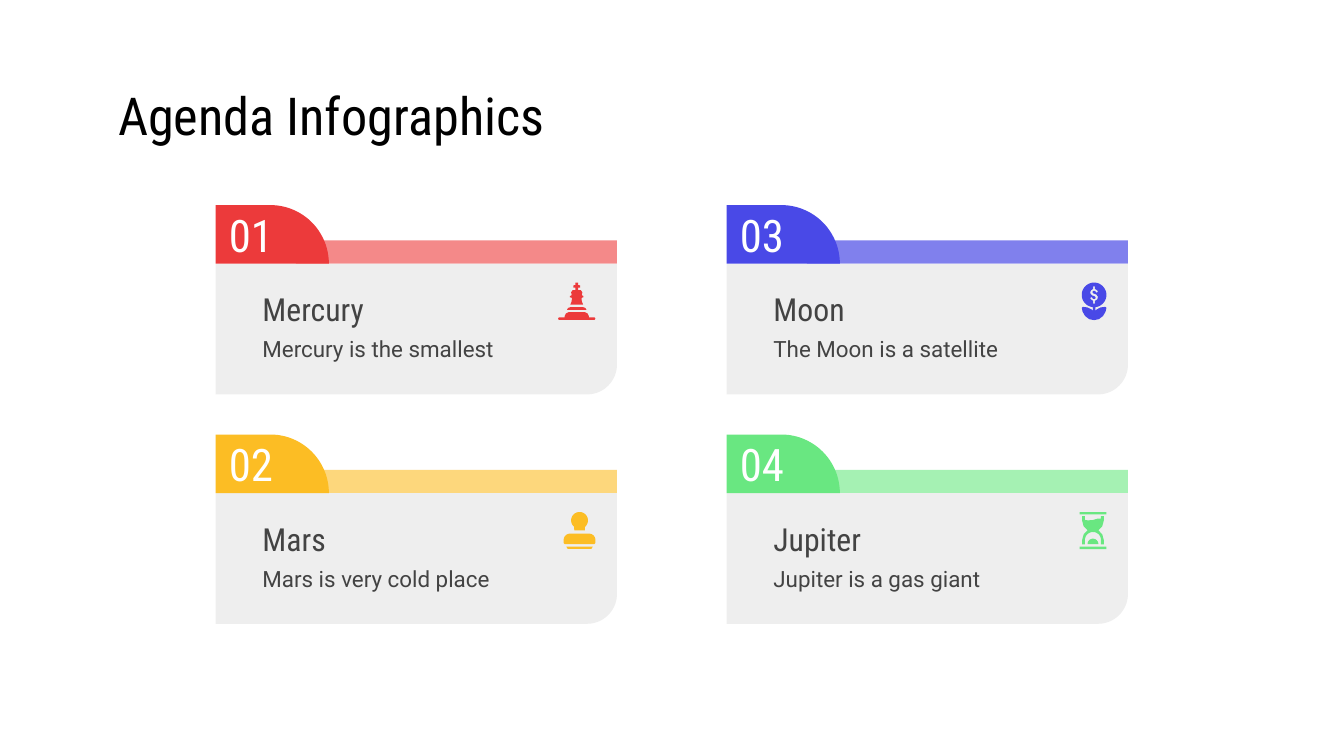
from math import cos, radians, sin

from pptx import Presentation
from pptx.dml.color import RGBColor
from pptx.enum.shapes import MSO_SHAPE
from pptx.enum.text import MSO_ANCHOR, PP_ALIGN

RECTANGLE = MSO_SHAPE.RECTANGLE
MIDDLE = MSO_ANCHOR.MIDDLE
LEFT = PP_ALIGN.LEFT

HEADING_FONT, BODY_FONT = "Roboto Condensed", "Roboto"
BLACK, WHITE, DARK_GRAY, LIGHT_GRAY = "000000", "FFFFFF", "434343", "EEEEEE"

GRID_LEFT, GRID_TOP = 115.5, 109.9
COLUMN_STEP, ROW_STEP = 273.75, 122.9
CARD_WIDTH, PANEL_HEIGHT, PANEL_RADIUS = 215, 70, 16
TAB_WIDTH, TAB_HEIGHT, TAB_RADIUS = 60.7, 31.4, 31.4
BAR_LEFT, BAR_HEIGHT = 43, 12.5
ICON_RIGHT, ICON_TOP = 203.5, 41.5


def rgb(color):
    return RGBColor.from_string(color)


def paint(shape, color):
    shape.fill.solid()
    shape.fill.fore_color.rgb = rgb(color)
    shape.line.fill.background()
    shape.shadow.inherit = False


def write(shape, text, size, color, font_name):
    frame = shape.text_frame
    frame.word_wrap = True
    frame.vertical_anchor = MIDDLE
    frame.margin_left = frame.margin_right = Pt(7.2)
    frame.margin_top = frame.margin_bottom = Pt(7.2)
    paragraph = frame.paragraphs[0]
    paragraph.text = text
    paragraph.alignment = LEFT
    paragraph.font.size = Pt(size)
    paragraph.font.name = font_name
    paragraph.font.color.rgb = rgb(color)


def add_label(slide, box, text, size, color, font_name):
    label = slide.shapes.add_textbox(*map(Pt, box))
    write(label, text, size, color, font_name)


def add_outline(slide, left, top, contours, color):
    """Draw closed contours, given relative to (left, top), as one shape."""
    placed = [[(Pt(left + x), Pt(top + y)) for x, y in contour] for contour in contours]
    builder = slide.shapes.build_freeform(*placed[0][0])
    for number, (start, *rest) in enumerate(placed):
        if number:
            builder.move_to(*start)
        builder.add_line_segments(rest, close=True)
    outline = builder.convert_to_shape()
    paint(outline, color)
    return outline


def arc(x, y, radius, start, end, steps=24):
    """Points on a circle; angles in degrees, clockwise from the right."""
    angles = [radians(start + (end - start) * i / steps) for i in range(steps + 1)]
    return [(x + radius * cos(a), y + radius * sin(a)) for a in angles]


def mirrored(right_half):
    return right_half + [(-x, y) for x, y in reversed(right_half)]


def bar(half_width, top, bottom):
    return mirrored([(half_width, top), (half_width, bottom)])


def chess_king():
    body = [(0.7, 0), (0.7, 1.4), (1.8, 1.5), (1.8, 2.7), (0.7, 2.7), (0.7, 4),
            (2.2, 4.1), (3, 5.2), (2.7, 6.8), (3.6, 7.2), (3.6, 7.9),
            (2.6, 8.2), (2.7, 10), (3.4, 11.8)]
    ring = [(3.4, 13.2), (4.6, 13.6), (5.2, 14.6)]
    base = [(4.5, 15.9), (5.8, 16.6), (6.5, 18), (6.5, 18.7),
            (9.6, 18.7), (10, 19.3), (9.6, 20)]
    return [mirrored(half) for half in (body, ring, base)]


def rubber_stamp():
    handle = arc(0, 4.5, 4.5, -90, 50) + [(2.8, 9.9)]
    block = arc(5.1, 15, 3.4, -90, 0) + [(8.5, 16.6), (7.9, 17.2)]
    foot = [(7.1, 18.5), (6.4, 19.7)]
    return [mirrored(half) for half in (handle, block, foot)]


def coin_flower():
    coin = arc(0, 6.6, 6.6, 0, 360, 48)
    dollar_half = [(-0.5, -3.2), (-0.5, -4.6), (0.5, -4.6), (0.5, -3.2),
                   (1.7, -2.4), (2.1, -1.5), (1.1, -1.2), (0.6, -2.1),
                   (-0.4, -2.2), (-0.9, -1.5), (-0.4, -0.8), (1.2, -0.2),
                   (2.1, 1), (1.7, 2.4)]
    dollar = dollar_half + [(-x, -y) for x, y in dollar_half]
    leaves = [(0.7, 13.1), (0.7, 15.1), (1.4, 14.4), (3.5, 13.3), (6, 13),
              (6.6, 13.5), (6.2, 15.5), (4.8, 17.9), (2.6, 19.6), (0, 20.1)]
    return [coin, [(x, y + 6.6) for x, y in dollar], mirrored(leaves)]


def hourglass():
    side = [(4.3, 2.2), (5.8, 2.2), (5.8, 4.6), (5, 7.6), (2.9, 9.8), (5, 12),
            (5.8, 15), (5.8, 17.3), (4.3, 17.3)] + arc(0, 15, 4.3, 0, -90)
    sand_surface = [(-4.3, 4.2), (-2.7, 4.5), (0, 4.3), (2.6, 3.5), (4.3, 3.5)]
    sand_pile = arc(0, 17.2, 2.9, -180, 0)
    return [mirrored(side) + sand_surface, sand_pile,
            bar(7.2, 0, 1.3), bar(7.2, 18.5, 19.8)]


def add_card(slide, left, top, number, planet, fact, color, tint, icon, icon_width):
    strip = slide.shapes.add_shape(
        RECTANGLE, Pt(left + BAR_LEFT), Pt(top + TAB_HEIGHT - BAR_HEIGHT),
        Pt(CARD_WIDTH - BAR_LEFT), Pt(BAR_HEIGHT))
    paint(strip, tint)

    corner = arc(CARD_WIDTH - PANEL_RADIUS, PANEL_HEIGHT - PANEL_RADIUS,
                 PANEL_RADIUS, 0, 90)
    panel = [(0, 0), (CARD_WIDTH, 0)] + corner + [(0, PANEL_HEIGHT)]
    add_outline(slide, left, top + TAB_HEIGHT, [panel], LIGHT_GRAY)

    shoulder = arc(TAB_WIDTH - TAB_RADIUS, TAB_HEIGHT, TAB_RADIUS, -90, 0)
    tab = add_outline(slide, left, top, [[(0, TAB_HEIGHT), (0, 0)] + shoulder], color)
    write(tab, number, 24, WHITE, HEADING_FONT)

    add_label(slide, (left + 18, top + 62.6, 141, 28.8), fact, 12, DARK_GRAY, BODY_FONT)
    add_label(slide, (left + 18, top + 41.4, 141, 28.8), planet, 17, DARK_GRAY,
              HEADING_FONT)
    add_outline(slide, left + ICON_RIGHT - icon_width / 2, top + ICON_TOP, icon(), color)


def main():
    presentation = Presentation()
    presentation.slide_width, presentation.slide_height = Pt(720), Pt(405)
    slide = presentation.slides.add_slide(presentation.slide_layouts[6])
    add_label(slide, (56.2, 42.5, 608.4, 38.2), "Agenda Infographics", 28, BLACK,
              HEADING_FONT)

    cards = [
        ("01", "Mercury", "Mercury is the smallest", "EC3A3B", "F48989", chess_king, 20),
        ("02", "Mars", "Mars is very cold place", "FCBD24", "FDD77C", rubber_stamp, 17),
        ("03", "Moon", "The Moon is a satellite", "4949E7", "8080ED", coin_flower, 13.2),
        ("04", "Jupiter", "Jupiter is a gas giant", "69E781", "A5F1B3", hourglass, 14.4),
    ]
    for index, card in enumerate(cards):
        column, row = divmod(index, 2)
        add_card(slide, GRID_LEFT + column * COLUMN_STEP, GRID_TOP + row * ROW_STEP, *card)

    presentation.save("out.pptx")


from pptx.util import Pt

if __name__ == "__main__":
    main()
